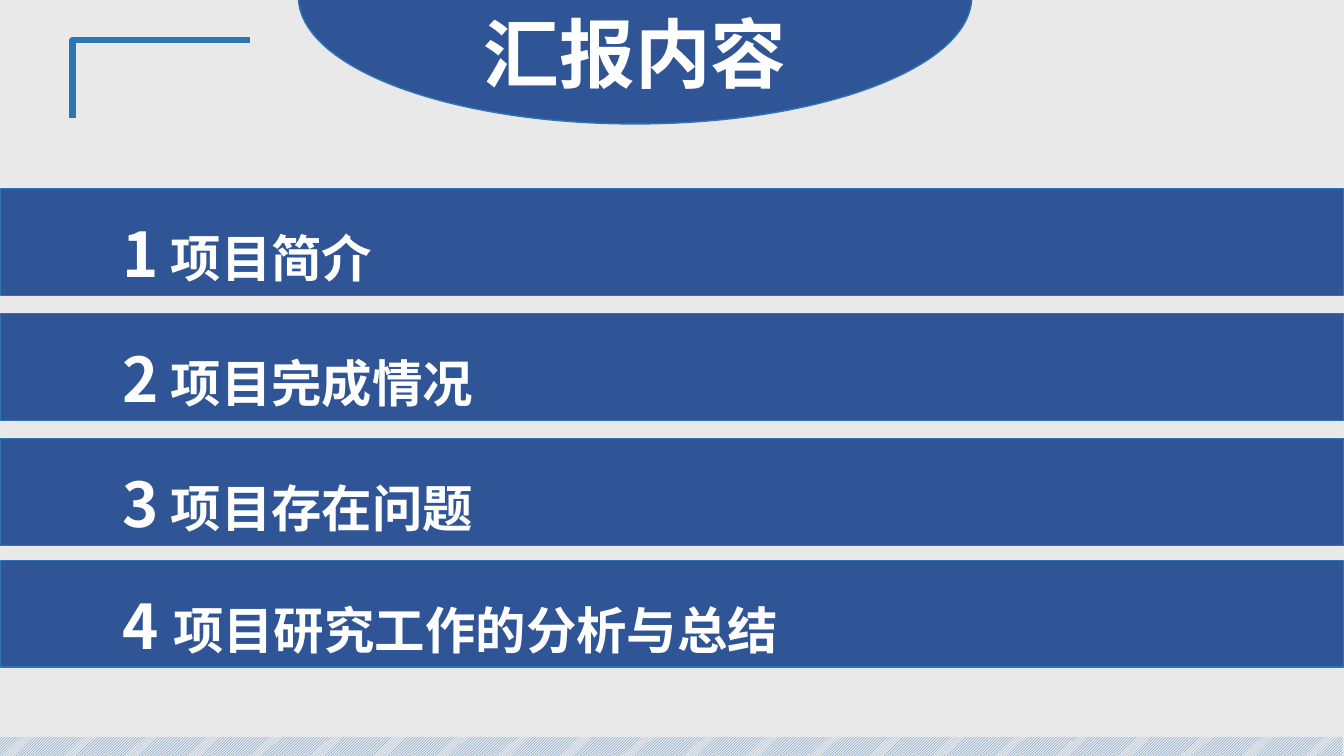
import pptx
import pptx.util
import pptx.dml.color
import pptx.enum.dml
import pptx.enum.shapes
import pptx.enum.text
import pptx.oxml.ns
import lxml.etree

BLUE = pptx.dml.color.RGBColor(0x2F, 0x55, 0x97)
EDGE = pptx.dml.color.RGBColor(0x2E, 0x75, 0xB6)
GREY = pptx.dml.color.RGBColor(0xE9, 0xE9, 0xE9)
WHITE = pptx.dml.color.RGBColor(0xFF, 0xFF, 0xFF)
SHAPES = pptx.enum.shapes.MSO_SHAPE
COLUMNS, ROWS = 160, 90
BAR_HEIGHT, LABEL_DROP = 12.72, 2.64
AGENDA = (
    (22.44, (("1", 44), (" 项目简介", 36))),
    (37.32, (("2", 44), (" 项目完成情况", 36))),
    (52.2, (("3", 44), (" 项目存在问题", 36))),
    (66.72, (("4 ", 44), ("项目研究工作的分析与总结", 36))),
)


class AgendaSlide:
    """Draws the agenda's elements on a grid of columns and rows."""

    font_name = "Noto Sans CJK SC"

    def __init__(self, deck):
        self.column = deck.slide_width / COLUMNS
        self.row = deck.slide_height / ROWS
        self.page = deck.slides.add_slide(deck.slide_layouts[6])
        background = self.page.background.fill
        background.solid()
        background.fore_color.rgb = GREY

    def place(self, left, top, width, height):
        return (round(left * self.column), round(top * self.row),
                round(width * self.column), round(height * self.row))

    def outline(self, shape, points):
        shape.shadow.inherit = False
        shape.line.color.rgb = EDGE
        shape.line.width = pptx.util.Pt(points)

    def panel(self, kind, *area):
        shape = self.page.shapes.add_shape(kind, *self.place(*area))
        shape.fill.solid()
        shape.fill.fore_color.rgb = BLUE
        self.outline(shape, 1)

    def stripe(self, *area):
        shape = self.page.shapes.add_shape(SHAPES.RECTANGLE, *self.place(*area))
        shape.shadow.inherit = False
        shape.fill.patterned()
        shape.fill.pattern = pptx.enum.dml.MSO_PATTERN.LIGHT_UPWARD_DIAGONAL
        shape.fill.fore_color.rgb = EDGE
        shape.fill.back_color.rgb = GREY
        shape.line.fill.background()

    def corner(self, left, top, right, bottom):
        points = [(round(x * self.column), round(y * self.row))
                  for x, y in ((left, bottom), (left, top), (right, top))]
        builder = self.page.shapes.build_freeform(*points[0])
        builder.add_line_segments(points[1:], close=False)
        shape = builder.convert_to_shape()
        shape.fill.background()
        self.outline(shape, 4.5)

    def text(self, area, pieces, frame_format, alignment=None):
        box = self.page.shapes.add_textbox(*self.place(*area))
        for name, value in frame_format.items():
            setattr(box.text_frame, name, value)
        para = box.text_frame.paragraphs[0]
        para.alignment = alignment
        for words, size in pieces:
            span = para.add_run()
            span.text = words
            style = {"name": self.font_name, "size": pptx.util.Pt(size), "bold": True}
            for name, value in style.items():
                setattr(span.font, name, value)
            span.font.color.rgb = WHITE
            east_asian = lxml.etree.SubElement(
                span.font._element, pptx.oxml.ns.qn("a:ea"))
            east_asian.set("typeface", self.font_name)


def main():
    deck = pptx.Presentation()
    deck.slide_width = pptx.util.Inches(13.33)
    deck.slide_height = pptx.util.Inches(7.5)
    agenda = AgendaSlide(deck)
    agenda.corner(8.64, 4.8, 29.76, 14.04)
    agenda.stripe(-0.36, 87.72, 160.2, 2.64)
    agenda.panel(SHAPES.OVAL, 35.52, -15.48, 80.16, 30.24)
    title_format = {
        "word_wrap": True, "margin_top": 0, "margin_bottom": 0,
        "vertical_anchor": pptx.enum.text.MSO_ANCHOR.MIDDLE,
    }
    agenda.text((35.52, -0.36, 80.16, 13.08), (("汇报内容", 54),),
                title_format, pptx.enum.text.PP_ALIGN.CENTER)
    label_format = {
        "word_wrap": True,
        "auto_size": pptx.enum.text.MSO_AUTO_SIZE.SHAPE_TO_FIT_TEXT,
    }
    for top, pieces in AGENDA:
        agenda.panel(SHAPES.RECTANGLE, 0, top, COLUMNS, BAR_HEIGHT)
        agenda.text((13.44, top + LABEL_DROP, 130, 10.08), pieces, label_format)
    deck.save("out.pptx")


if __name__ == "__main__":
    main()
